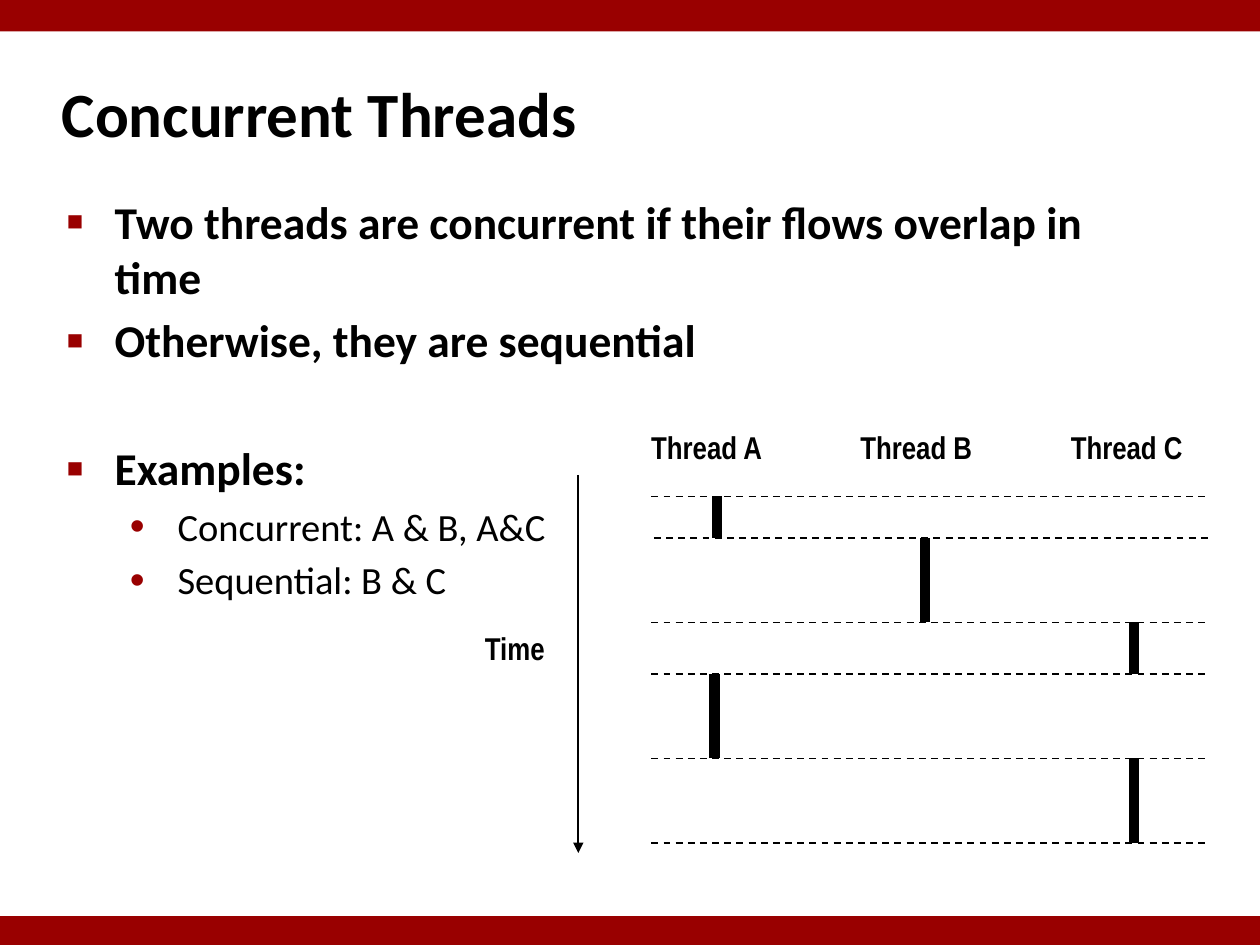
from lxml import etree
from pptx import Presentation
from pptx.dml.color import RGBColor
from pptx.enum.dml import MSO_LINE
from pptx.enum.shapes import MSO_CONNECTOR, MSO_SHAPE
from pptx.enum.text import MSO_ANCHOR, MSO_AUTO_SIZE, PP_ALIGN
from pptx.oxml.ns import qn
from pptx.util import Inches, Pt

RED = RGBColor(0x99, 0x00, 0x00)
BLACK = RGBColor(0x00, 0x00, 0x00)
DASH = MSO_LINE.DASH
STRAIGHT = MSO_CONNECTOR.STRAIGHT
RECT = MSO_SHAPE.RECTANGLE
MIDDLE = MSO_ANCHOR.MIDDLE
TOP = MSO_ANCHOR.TOP
LEFT = PP_ALIGN.LEFT
FIXED = MSO_AUTO_SIZE.NONE
GROW = MSO_AUTO_SIZE.SHAPE_TO_FIT_TEXT

# level: (mark, mark size in percent, indent, font size, bold)
LEVELS = [("■", 60, 0.38, 26, True), ("•", 110, 0.88, 22, False)]
HANG = 0.38
ITEMS = [
    (0, "Two threads are concurrent if their flows overlap in time", 0),
    (0, "Otherwise, they are sequential", 5.2),
    (0, "Examples:", 42),
    (1, "Concurrent: A & B, A&C", 4.4),
    (1, "Sequential: B & C", 4.4),
]
LABELS = [("Time", 3.75, 4.94, 0.68), ("Thread A", 5.07, 3.35, 1.1),
          ("Thread B", 6.73, 3.35, 1.1), ("Thread C", 8.4, 3.35, 1.1)]
TIMES = [3.94, 4.27, 4.94, 5.35, 6.02, 6.69]
RUNS = [5.69, 7.34, 9, 5.67, 9]


def place(shape, left, top, width, height):
    """Move and size a shape, in inches."""
    shape.left, shape.top = Inches(left), Inches(top)
    shape.width, shape.height = Inches(width), Inches(height)


def style(para, name, size, bold):
    """Set the font of a paragraph."""
    font = para.font
    font.name, font.size, font.bold = name, Pt(size), bold
    font.color.rgb = BLACK


def add_mark(para, mark, size, indent):
    """Give a paragraph a red hanging bullet."""
    props = para._p.get_or_add_pPr()
    props.set("marL", str(Inches(indent)))
    props.set("indent", str(-Inches(HANG)))
    color = etree.SubElement(props, qn("a:buClr"))
    etree.SubElement(color, qn("a:srgbClr"), val=str(RED))
    etree.SubElement(props, qn("a:buSzPct"), val=str(size * 1000))
    etree.SubElement(props, qn("a:buFont"), typeface="Arial")
    etree.SubElement(props, qn("a:buChar"), char=mark)


def fill_title(shape, text):
    """Write the slide title."""
    place(shape, 0.39, 0.48, 8.3, 0.83)
    frame = shape.text_frame
    frame.text = text
    frame.auto_size, frame.vertical_anchor = FIXED, MIDDLE
    para = frame.paragraphs[0]
    para.alignment = LEFT
    style(para, "Calibri", 36, True)


def fill_list(shape):
    """Write the bulleted list."""
    place(shape, 0.43, 1.49, 8.64, 5.44)
    frame = shape.text_frame
    frame.text = "\n".join(text for _, text, _ in ITEMS)
    frame.auto_size, frame.vertical_anchor = FIXED, TOP
    for para, (level, _, gap) in zip(frame.paragraphs, ITEMS):
        mark, scale, indent, size, bold = LEVELS[level]
        para.level = level
        para.space_before = Pt(gap)
        add_mark(para, mark, scale, indent)
        style(para, "Calibri", size, bold)


def add_label(slide, text, left, top, width):
    """Add a one-line label to the chart."""
    box = slide.shapes.add_textbox(
        Inches(left), Inches(top), Inches(width), Inches(0.4))
    frame = box.text_frame
    frame.word_wrap, frame.auto_size = False, GROW
    frame.text = text
    style(frame.paragraphs[0], "Arial Narrow", 18, True)


def add_line(slide, start, end, width=1, dash=None):
    """Draw a straight black line and return it."""
    line = slide.shapes.add_connector(
        STRAIGHT, *(Inches(n) for n in (*start, *end)))
    line.line.color.rgb = BLACK
    line.line.width = Pt(width)
    if dash:
        line.line.dash_style = dash
    etree.SubElement(line._element.spPr, qn("a:effectLst"))
    return line


def add_arrow(slide, start, end):
    """Draw a line with an arrowhead at its end."""
    line = add_line(slide, start, end)
    etree.SubElement(line.line._get_or_add_ln(), qn("a:tailEnd"),
                     type="triangle")


def add_band(slide, top):
    """Add a red band across the slide."""
    band = slide.shapes.add_shape(
        RECT, Inches(-0.01), Inches(top), Inches(10.01), Inches(0.25))
    band.shadow.inherit = False
    band.fill.solid()
    band.fill.fore_color.rgb = RED
    band.line.fill.background()


def main():
    """Build the slide and save it."""
    deck = Presentation()
    deck.slide_width, deck.slide_height = Inches(10), Inches(7.5)
    slide = deck.slides.add_slide(deck.slide_layouts[1])
    fill_title(slide.shapes.title, "Concurrent Threads")
    fill_list(slide.placeholders[1])
    add_arrow(slide, (4.59, 3.77), (4.59, 6.77))
    for label in LABELS:
        add_label(slide, *label)
    for left, top, low in zip(RUNS, TIMES, TIMES[1:]):
        add_line(slide, (left, top), (left, low), 6)
    for time in TIMES:
        shift = 0.02 if time == TIMES[1] else 0
        add_line(slide, (5.17 + shift, time), (9.59 + shift, time), dash=DASH)
    for top in (0, 7.27):
        add_band(slide, top)
    deck.save("out.pptx")


if __name__ == "__main__":
    main()
